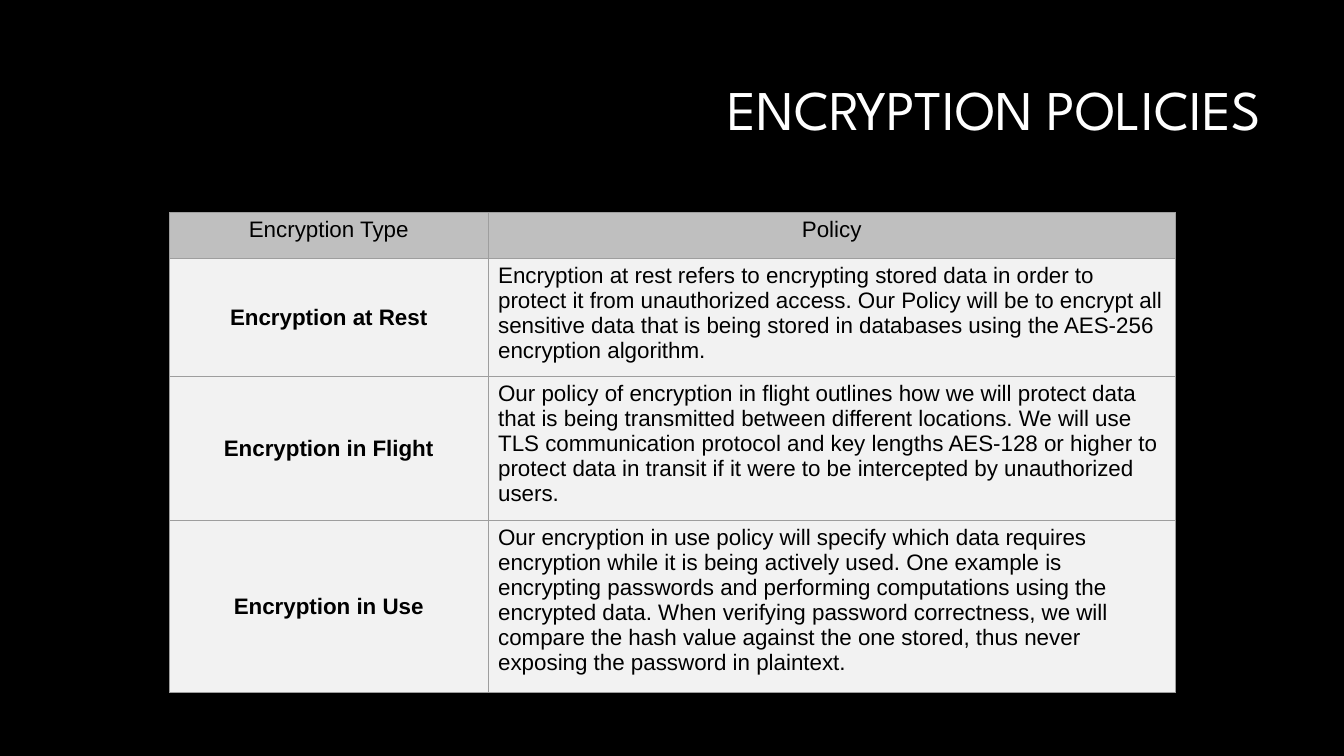
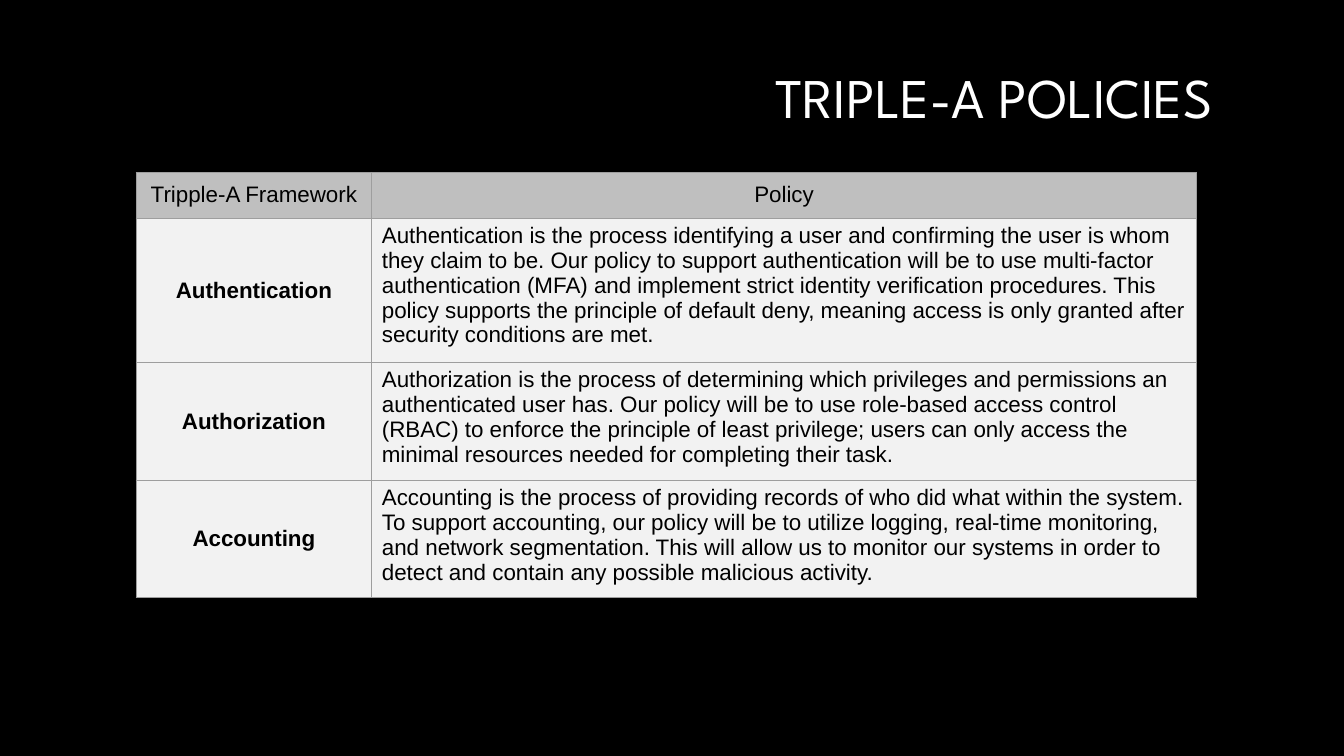
from dataclasses import dataclass

from lxml import etree
from pptx import Presentation
from pptx import util as u
from pptx.dml.color import RGBColor
from pptx.enum import text
from pptx.oxml import ns


@dataclass(frozen=True)
class Theme:
    background: str = "000000"
    title: str = "FFFFFF"
    ink: str = "000000"
    header_fill: str = "BFBFBF"
    body_fill: str = "F2F2F2"
    border: str = "9E9E9E"
    border_width: float = 0.75
    title_font: str = "League Spartan"
    body_font: str = "Arial"
    title_size: int = 40
    body_size: int = 16


THEME = Theme()
TITLE_SIZE = (23.93, 3.58)
HEADER_HEIGHT = 1.16
MIN_BODY_HEIGHT = 2.24
MIDDLE = text.MSO_ANCHOR.MIDDLE
TOP = text.MSO_ANCHOR.TOP
CENTER = text.PP_ALIGN.CENTER
LEFT = text.PP_ALIGN.LEFT
RIGHT = text.PP_ALIGN.RIGHT

ENCRYPTION_ROWS = [
    ("Encryption Type", "Policy"),
    ("Encryption at Rest",
     "Encryption at rest refers to encrypting stored data in order to protect it "
     "from unauthorized access. Our Policy will be to encrypt all sensitive data "
     "that is being stored in databases using the AES-256 encryption algorithm."),
    ("Encryption in Flight",
     "Our policy of encryption in flight outlines how we will protect data that is "
     "being transmitted between different locations. We will use TLS communication "
     "protocol and key lengths AES-128 or higher to protect data in transit if it "
     "were to be intercepted by unauthorized users."),
    ("Encryption in Use",
     "Our encryption in use policy will specify which data requires encryption while "
     "it is being actively used. One example is encrypting passwords and performing "
     "computations using the encrypted data. When verifying password correctness, we "
     "will compare the hash value against the one stored, thus never exposing the "
     "password in plaintext."),
]

TRIPLE_A_ROWS = [
    ("Tripple-A Framework", "Policy"),
    ("Authentication",
     "Authentication is the process identifying a user and confirming the user is "
     "whom they claim to be. Our policy to support authentication will be to use "
     "multi-factor authentication (MFA) and implement strict identity verification "
     "procedures. This policy supports the principle of default deny, meaning access "
     "is only granted after security conditions are met."),
    ("Authorization",
     "Authorization is the process of determining which privileges and permissions "
     "an authenticated user has. Our policy will be to use role-based access control "
     "(RBAC) to enforce the principle of least privilege; users can only access the "
     "minimal resources needed for completing their task."),
    ("Accounting",
     "Accounting is the process of providing records of who did what within the "
     "system. To support accounting, our policy will be to utilize logging, real-time "
     "monitoring, and network segmentation. This will allow us to monitor our systems "
     "in order to detect and contain any possible malicious activity."),
]


def style_paragraph(para, font, size, color, align, bold=False):
    para.alignment = align
    para.font.name = font
    para.font.size = u.Pt(size)
    para.font.bold = bold
    para.font.color.rgb = RGBColor.from_string(color)


def add_title(slide, wording, left, top):
    box = slide.shapes.add_textbox(*map(u.Cm, (left, top, *TITLE_SIZE)))
    frame = box.text_frame
    frame.word_wrap = True
    frame.vertical_anchor = MIDDLE
    para = frame.paragraphs[0]
    para.text = wording
    para.line_spacing = 0.9
    style_paragraph(para, THEME.title_font, THEME.title_size, THEME.title, RIGHT)


def add_borders(cell):
    """Line all four edges; call before the fill, which must follow in the XML."""
    properties = cell._tc.get_or_add_tcPr()
    for edge in ("a:lnL", "a:lnR", "a:lnT", "a:lnB"):
        line = etree.SubElement(properties, ns.qn(edge), w=str(u.Pt(THEME.border_width)))
        fill = etree.SubElement(line, ns.qn("a:solidFill"))
        etree.SubElement(fill, ns.qn("a:srgbClr"), val=THEME.border)


def fill_cell(cell, wording, fill, align, anchor, bold):
    add_borders(cell)
    cell.fill.solid()
    cell.fill.fore_color.rgb = RGBColor.from_string(fill)
    cell.vertical_anchor = anchor
    para = cell.text_frame.paragraphs[0]
    para.text = wording
    style_paragraph(para, THEME.body_font, THEME.body_size, THEME.ink, align, bold)


def add_policy_table(slide, rows, left, top, widths, header_anchor):
    """Add a header row and body rows, which grow to fit their text."""
    heights = [HEADER_HEIGHT] + [MIN_BODY_HEIGHT] * (len(rows) - 1)
    table = slide.shapes.add_table(
        len(rows), len(widths),
        *map(u.Cm, (left, top, sum(widths), sum(heights)))).table
    table.horz_banding = False
    for column, width in zip(table.columns, widths):
        column.width = u.Cm(width)
    for row, height in zip(table.rows, heights):
        row.height = u.Cm(height)
    for row_index, wordings in enumerate(rows):
        for column_index, wording in enumerate(wordings):
            is_header = row_index == 0
            is_label = not is_header and column_index == 0
            fill_cell(
                table.cell(row_index, column_index), wording,
                fill=THEME.header_fill if is_header else THEME.body_fill,
                align=CENTER if is_header or is_label else LEFT,
                anchor=header_anchor if is_header else MIDDLE if is_label else TOP,
                bold=is_label)


def add_slide(deck):
    return deck.slides.add_slide(deck.slide_layouts[6])


def main():
    deck = Presentation()
    deck.slide_width, deck.slide_height = u.Cm(33.87), u.Cm(19.05)
    backdrop = deck.slide_master.background.fill
    backdrop.solid()
    backdrop.fore_color.rgb = RGBColor.from_string(THEME.background)

    encryption = add_slide(deck)
    add_title(encryption, "ENCRYPTION POLICIES", 8.1, 1.04)
    add_policy_table(encryption, ENCRYPTION_ROWS, 4.27, 5.36, (8.03, 17.32), TOP)

    triple_a = add_slide(deck)
    add_title(triple_a, "TRIPLE-A POLICIES", 6.88, 0.74)
    add_policy_table(triple_a, TRIPLE_A_ROWS, 3.43, 4.34, (5.94, 20.78), MIDDLE)

    deck.save("out.pptx")


if __name__ == "__main__":
    main()
